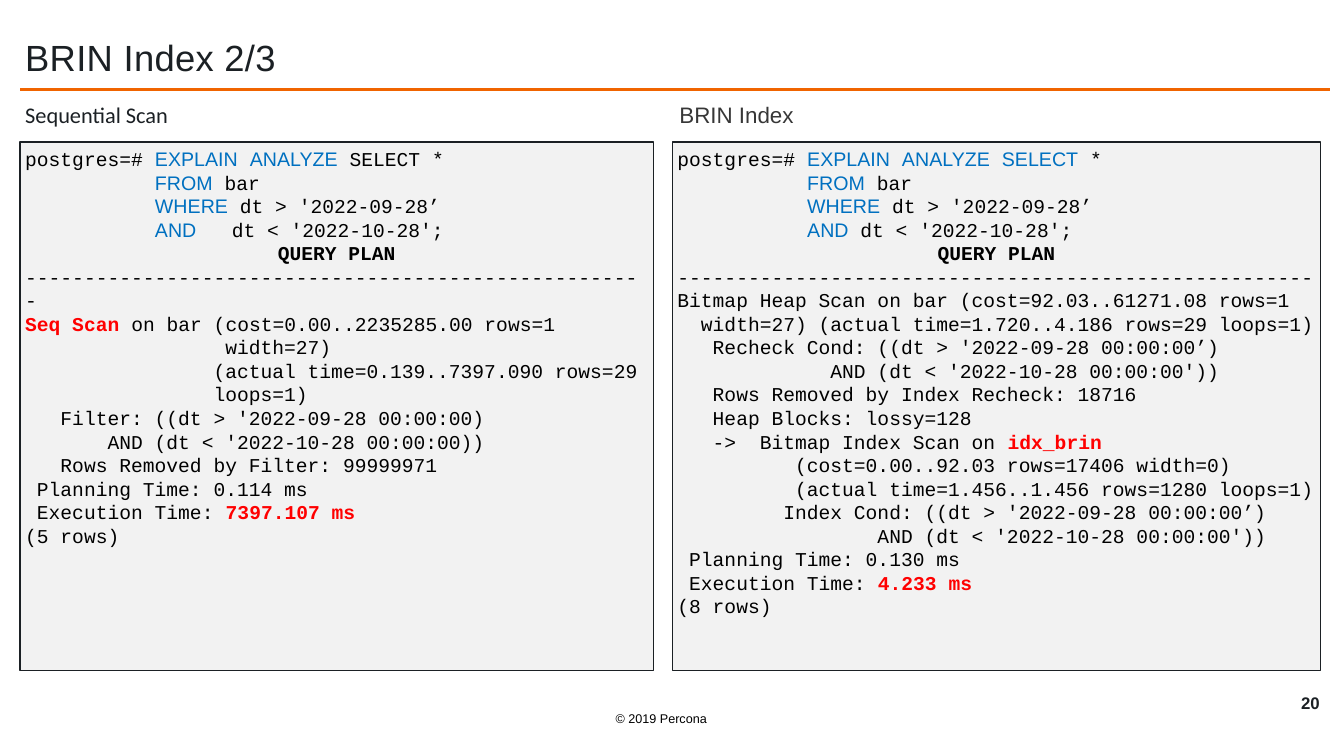
"""Build a slide comparing a sequential scan plan with a BRIN index plan."""
from lxml import etree
from pptx import Presentation
from pptx.dml.color import RGBColor
from pptx.enum import shapes, text
from pptx.oxml import ns
from pptx.util import Pt

INK = RGBColor(0x1B, 0x20, 0x24)
GREY = RGBColor(0x37, 0x37, 0x37)
BLACK = RGBColor(0, 0, 0)
BLUE = RGBColor(0x00, 0x70, 0xC0)
RED = RGBColor(0xFF, 0, 0)
ORANGE = RGBColor(0xF0, 0x64, 0x00)
PANEL = RGBColor(0xF2, 0xF2, 0xF2)

LEFT, RIGHT = 14.4, 480.3
HEADER = "QUERY PLAN"

SEQ_PLAN = """\
postgres=# ~EXPLAIN~ ~ANALYZE~ SELECT *
           ~FROM~ bar
           ~WHERE~ dt > '2022-09-28’
           ~AND~   dt < '2022-10-28';
QUERY PLAN
-----------------------------------------------------
^Seq Scan^ on bar (cost=0.00..2235285.00 rows=1
                 width=27)
                (actual time=0.139..7397.090 rows=29
                loops=1)
   Filter: ((dt > '2022-09-28 00:00:00)
       AND (dt < '2022-10-28 00:00:00))
   Rows Removed by Filter: 99999971
 Planning Time: 0.114 ms
 Execution Time: ^7397.107 ms^
(5 rows)"""

BRIN_PLAN = """\
postgres=# ~EXPLAIN~ ~ANALYZE~ ~SELECT~ *
           ~FROM~ bar
           ~WHERE~ dt > '2022-09-28’
           ~AND~ dt < '2022-10-28';
QUERY PLAN
------------------------------------------------------
Bitmap Heap Scan on bar (cost=92.03..61271.08 rows=1
  width=27) (actual time=1.720..4.186 rows=29 loops=1)
   Recheck Cond: ((dt > '2022-09-28 00:00:00’)
             AND (dt < '2022-10-28 00:00:00'))
   Rows Removed by Index Recheck: 18716
   Heap Blocks: lossy=128
   ->  Bitmap Index Scan on ^idx_brin^
          (cost=0.00..92.03 rows=17406 width=0)
          (actual time=1.456..1.456 rows=1280 loops=1)
         Index Cond: ((dt > '2022-09-28 00:00:00’)
                 AND (dt < '2022-10-28 00:00:00'))
 Planning Time: 0.130 ms
 Execution Time: ^4.233 ms^
(8 rows)"""


class Deck:
    def __init__(self):
        self.prs = Presentation()
        self.prs.slide_width, self.prs.slide_height = Pt(960), Pt(540)
        self.s = self.prs.slides.add_slide(self.prs.slide_layouts[5])
        self.inset = Pt(3.6)

    def frame(self, sp, anchor):
        tf = sp.text_frame
        tf.word_wrap = True
        tf.auto_size = text.MSO_AUTO_SIZE.NONE
        tf.vertical_anchor = anchor
        tf.margin_left = tf.margin_right = self.inset
        tf.margin_top = tf.margin_bottom = self.inset
        return tf

    def style(self, r, size, color, font="Arial", bold=False):
        r.font.name, r.font.size, r.font.bold = font, Pt(size), bold
        r.font.color.rgb = color

    def title(self, words, x, y, w, h):
        sp = self.s.shapes.title
        sp.left, sp.top, sp.width, sp.height = Pt(x), Pt(y), Pt(w), Pt(h)
        p = self.frame(sp, text.MSO_ANCHOR.MIDDLE).paragraphs[0]
        p.text = words
        p.alignment, p.line_spacing = text.PP_ALIGN.LEFT, 0.9
        r = p.runs[0]
        self.style(r, 26, INK)
        r.font._element.set("spc", "20")

    def label(self, words, x, y, w, h, size, color, font="Arial", bold=False,
              anchor=text.MSO_ANCHOR.MIDDLE, align=text.PP_ALIGN.CENTER, spacing=1.0):
        sp = self.s.shapes.add_textbox(Pt(x), Pt(y), Pt(w), Pt(h))
        p = self.frame(sp, anchor).paragraphs[0]
        p.text = words
        p.alignment, p.line_spacing = align, spacing
        self.style(p.runs[0], size, color, font, bold)

    def heading(self, words, x, color, font):
        self.label(words, x, 70.6, 452.2, 30.2, 16, color, font,
                   anchor=text.MSO_ANCHOR.TOP, align=text.PP_ALIGN.LEFT, spacing=0.9)

    def rule(self, x1, x2, y):
        c = self.s.shapes.add_connector(
            shapes.MSO_CONNECTOR.STRAIGHT, Pt(x1), Pt(y), Pt(x2), Pt(y))
        c.line.color.rgb, c.line.width = ORANGE, Pt(2)
        etree.SubElement(c._element.spPr, ns.qn("a:effectLst"))

    def run(self, p, words, color=BLACK, font="Courier New", bold=False):
        if words:
            r = p.add_run()
            r.text = words
            self.style(r, 14, color, font, bold)

    def code(self, listing, x, w):
        sp = self.s.shapes.add_shape(
            shapes.MSO_SHAPE.RECTANGLE, Pt(x), Pt(101.5), Pt(w), Pt(377.3))
        sp.shadow.inherit = False
        sp.fill.solid()
        sp.fill.fore_color.rgb = PANEL
        sp.line.color.rgb, sp.line.width = INK, Pt(1)
        tf = self.frame(sp, text.MSO_ANCHOR.TOP)
        for n, line in enumerate(listing.split("\n")):
            p = tf.add_paragraph() if n else tf.paragraphs[0]
            header = line == HEADER
            p.alignment = text.PP_ALIGN.CENTER if header else text.PP_ALIGN.LEFT
            for i, part in enumerate(line.split("~")):
                if i % 2:
                    self.run(p, part, BLUE, "Arial")
                    continue
                for j, piece in enumerate(part.split("^")):
                    hot = j % 2 == 1
                    self.run(p, piece, RED if hot else BLACK, bold=hot or header)


def main():
    d = Deck()
    d.label("© 2019 Percona", 400.3, 504, 144, 18, 9, BLACK)
    d.rule(LEFT, 949.7, 64.1)
    d.title("BRIN Index 2/3", LEFT, 14.4, 935.3, 56.9)
    d.heading("Sequential Scan", LEFT, INK, "Calibri")
    d.heading("BRIN Index", RIGHT + 1.4, GREY, "Arial")
    d.code(SEQ_PLAN, LEFT, 452.2)
    d.code(BRIN_PLAN, RIGHT, 463)
    d.label("20", 925.2, 493.2, 21.6, 18, 12, INK, bold=True)
    d.prs.save("out.pptx")


if __name__ == "__main__":
    main()
